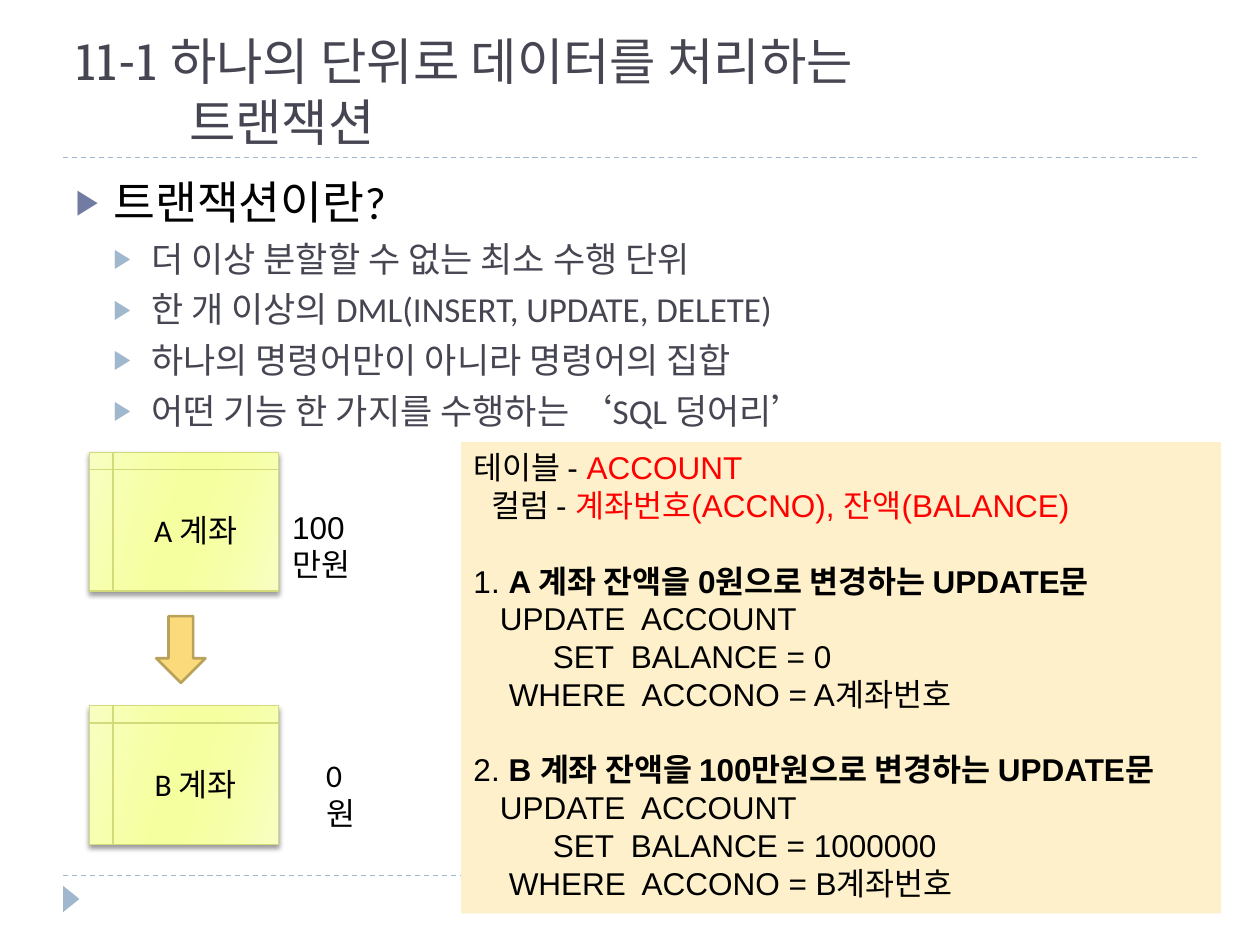
from dataclasses import dataclass

from lxml import etree
from pptx import Presentation
from pptx.dml.color import RGBColor
from pptx.enum.dml import MSO_LINE
from pptx.enum.shapes import MSO_CONNECTOR, MSO_SHAPE
from pptx.enum.text import MSO_ANCHOR, MSO_AUTO_SIZE, PP_ALIGN
from pptx.oxml.ns import qn
from pptx.util import Emu, Inches, Pt

STRAIGHT = MSO_CONNECTOR.STRAIGHT
RECTANGLE = MSO_SHAPE.RECTANGLE
TRIANGLE = MSO_SHAPE.ISOSCELES_TRIANGLE
STORAGE = MSO_SHAPE.FLOWCHART_INTERNAL_STORAGE
DOWN_ARROW = MSO_SHAPE.DOWN_ARROW
TOP, MIDDLE, BOTTOM = MSO_ANCHOR.TOP, MSO_ANCHOR.MIDDLE, MSO_ANCHOR.BOTTOM
LEFT, CENTER = PP_ALIGN.LEFT, PP_ALIGN.CENTER

SLIDE_WIDTH, SLIDE_HEIGHT = Inches(10), Inches(7.5)
COLUMN, ROW = SLIDE_WIDTH / 100, SLIDE_HEIGHT / 75
CODE_SPACE = 0.7  # columns taken by one character of code indent
BLANK_LINE = 21.5

COLORS = {
    "black": "000000", "red": "FF0000", "slate": "464653",
    "bullet": "727CA3", "accent": "9FB8CD", "panel": "FDF0CA",
    "note_line": "D2DA7A", "arrow": "FADA7A", "arrow_line": "B9A15A",
}
NOTE_GRADIENT = [(0, "F8FEC2"), (30, "F6FFA7"), (45, "F6FF9F"),
                 (55, "F6FF9F"), (73, "F6FFA7"), (100, "F8FEC2")]


@dataclass
class Area:
    """A rectangle in grid columns and rows."""
    left: float
    top: float
    width: float
    height: float

    def lengths(self) -> tuple:
        return (Emu(round(self.left * COLUMN)), Emu(round(self.top * ROW)),
                Emu(round(self.width * COLUMN)), Emu(round(self.height * ROW)))


@dataclass
class Account:
    name: str
    top: float
    balance: str
    balance_area: Area
    font: str


@dataclass
class CodeLine:
    spans: list
    indent: int = 0
    before: float = 0


def update_statement(number: int, account: str, amount: str, value: str) -> list:
    heading = f"{account} 계좌 잔액을 {amount}원으로 변경하는 UPDATE문"
    return [
        CodeLine([(f"{number}. ", {}), (heading, {"bold": True})], before=BLANK_LINE),
        CodeLine([("UPDATE  ACCOUNT", {})], 3),
        CodeLine([(f"SET  BALANCE = {value}", {})], 9),
        CodeLine([(f"WHERE  ACCONO = {account}계좌번호", {})], 4),
    ]


BULLETS = [
    "더 이상 분할할 수 없는 최소 수행 단위",
    "한 개 이상의 DML(INSERT, UPDATE, DELETE)",
    "하나의 명령어만이 아니라 명령어의 집합",
    "어떤 기능 한 가지를 수행하는 ‘SQL 덩어리’",
]
ACCOUNTS = [
    Account("A 계좌", 35.9, "100만원", Area(22.2, 39.8, 11.2, 4), "Arial"),
    Account("B 계좌", 56, "0원", Area(24.9, 59.5, 5.8, 4), "Calibri"),
]
CODE = [
    CodeLine([("테이블 - ", {}), ("ACCOUNT", {"color": "red"})]),
    CodeLine([("컬럼 - ", {}), ("계좌번호(ACCNO), 잔액(BALANCE)", {"color": "red"})], 2),
    *update_statement(1, "A", "0", "0"),
    *update_statement(2, "B", "100만", "1000000"),
]


def rgb(name: str) -> RGBColor:
    return RGBColor.from_string(COLORS[name])


def add_text(para, text: str, *, font="Arial", size=18, color="black", bold=False) -> None:
    span = para.add_run()
    span.text = text
    span.font.name, span.font.size, span.font.bold = font, Pt(size), bold
    span.font.color.rgb = rgb(color)


def set_indent(para, margin: float, first: float = 0) -> None:
    """Set the paragraph's left margin and first-line indent in columns."""
    properties = para._p.get_or_add_pPr()
    properties.set("marL", str(round(margin * COLUMN)))
    properties.set("indent", str(round(first * COLUMN)))


def set_bullet(para, color: str) -> None:
    properties = para._p.get_or_add_pPr()
    holder = etree.SubElement(properties, qn("a:buClr"))
    etree.SubElement(holder, qn("a:srgbClr"), val=COLORS[color])
    etree.SubElement(properties, qn("a:buSzPct"), val="76000")
    etree.SubElement(properties, qn("a:buFont"), typeface="Arial")
    etree.SubElement(properties, qn("a:buChar"), char="▶")


def place(box, area: Area, anchor=TOP):
    """Move a box and return its wrapping text frame."""
    box.left, box.top, box.width, box.height = area.lengths()
    frame = box.text_frame
    frame.word_wrap, frame.auto_size = True, MSO_AUTO_SIZE.NONE
    frame.vertical_anchor = anchor
    return frame


def add_rule(page, row: float) -> None:
    left, top, width, _ = Area(5, row, 90, 0).lengths()
    rule = page.shapes.add_connector(STRAIGHT, left, top, left + width, top)
    rule.line.color.rgb, rule.line.width = rgb("accent"), Pt(0.75)
    rule.line.dash_style = MSO_LINE.DASH
    etree.SubElement(rule._element.spPr, qn("a:effectLst"))


def add_figure(shapes, kind, area: Area, fill: str, line: str = "", width: float = 0.75):
    figure = shapes.add_shape(kind, *area.lengths())
    figure.shadow.inherit = False
    figure.fill.solid()
    figure.fill.fore_color.rgb = rgb(fill)
    if line:
        figure.line.color.rgb, figure.line.width = rgb(line), Pt(width)
    else:
        figure.line.fill.background()
    return figure


def add_note_effects(note) -> None:
    """Give the note its gradient and soft shadow."""
    note.fill.gradient()
    note.fill.gradient_angle = 344
    properties = note._element.spPr
    stops = properties.find(".//" + qn("a:gsLst"))
    stops.clear()
    for share, color in NOTE_GRADIENT:
        stop = etree.SubElement(stops, qn("a:gs"), pos=str(share * 1000))
        etree.SubElement(stop, qn("a:srgbClr"), val=color)
    shadow = etree.SubElement(properties.find(qn("a:effectLst")), qn("a:outerShdw"),
                              blurRad=str(Pt(3)), dist=str(Pt(2)), dir="5400000")
    tint = etree.SubElement(shadow, qn("a:srgbClr"), val=COLORS["black"])
    etree.SubElement(tint, qn("a:alpha"), val="40000")


def add_account(shapes, account: Account) -> None:
    area = Area(7.1, account.top, 15, 11)
    note = add_figure(shapes, STORAGE, area, "panel", "note_line")
    add_note_effects(note)
    para = place(note, area, MIDDLE).paragraphs[0]
    para.alignment = CENTER
    add_text(para, account.name, font="Calibri")

    box = shapes.add_textbox(*account.balance_area.lengths())
    frame = place(box, account.balance_area)
    frame.margin_right = Inches(0.25)
    add_text(frame.paragraphs[0], account.balance, font=account.font)


def fill_title(page) -> None:
    para = place(page.shapes.title, Area(5, 1.7, 90, 10.8), BOTTOM).paragraphs[0]
    para.alignment = LEFT
    set_indent(para, 9, -9)
    style = {"font": "Roboto Slab", "size": 28.8, "color": "slate"}
    add_text(para, "11-1 하나의 단위로 데이터를 처리하는", **style)
    para.add_line_break()
    add_text(para, "트랜잭션", **style)


def fill_body(page) -> None:
    frame = place(page.placeholders[1], Area(5, 13.3, 90, 54))
    for index, text in enumerate(["트랜잭션이란?", *BULLETS]):
        para = frame.add_paragraph() if index else frame.paragraphs[0]
        para.level = 1 if index else 0
        para.space_before = Pt(5 if index else 6)
        set_indent(para, 6 if index else 3, -3)
        set_bullet(para, "accent" if index else "bullet")
        add_text(para, text, font="Calibri", size=20 if index else 26,
                 color="slate" if index else "black")


def add_code_panel(page) -> None:
    area = Area(36.6, 35.1, 60.3, 37.4)
    frame = place(add_figure(page.shapes, RECTANGLE, area, "panel"), area)
    frame.margin_right = 0
    for index, line in enumerate(CODE):
        para = frame.add_paragraph() if index else frame.paragraphs[0]
        para.alignment, para.space_before = LEFT, Pt(line.before)
        set_indent(para, line.indent * CODE_SPACE)
        for text, style in line.spans:
            add_text(para, text, **style)


def main() -> None:
    deck = Presentation()
    deck.slide_width, deck.slide_height = SLIDE_WIDTH, SLIDE_HEIGHT
    page = deck.slides.add_slide(deck.slide_layouts[1])
    for row in (12.5, 69.5):
        add_rule(page, row)
    add_figure(page.shapes, TRIANGLE, Area(4.6, 70.7, 2.1, 1.3), "accent").rotation = 90
    fill_title(page)
    fill_body(page)
    add_code_panel(page)
    transfer = page.shapes.add_group_shape().shapes
    for account in ACCOUNTS:
        add_account(transfer, account)
    add_figure(transfer, DOWN_ARROW, Area(12.4, 48.9, 3.9, 5.3), "arrow", "arrow_line", 1.5)
    deck.save("out.pptx")


if __name__ == "__main__":
    main()
